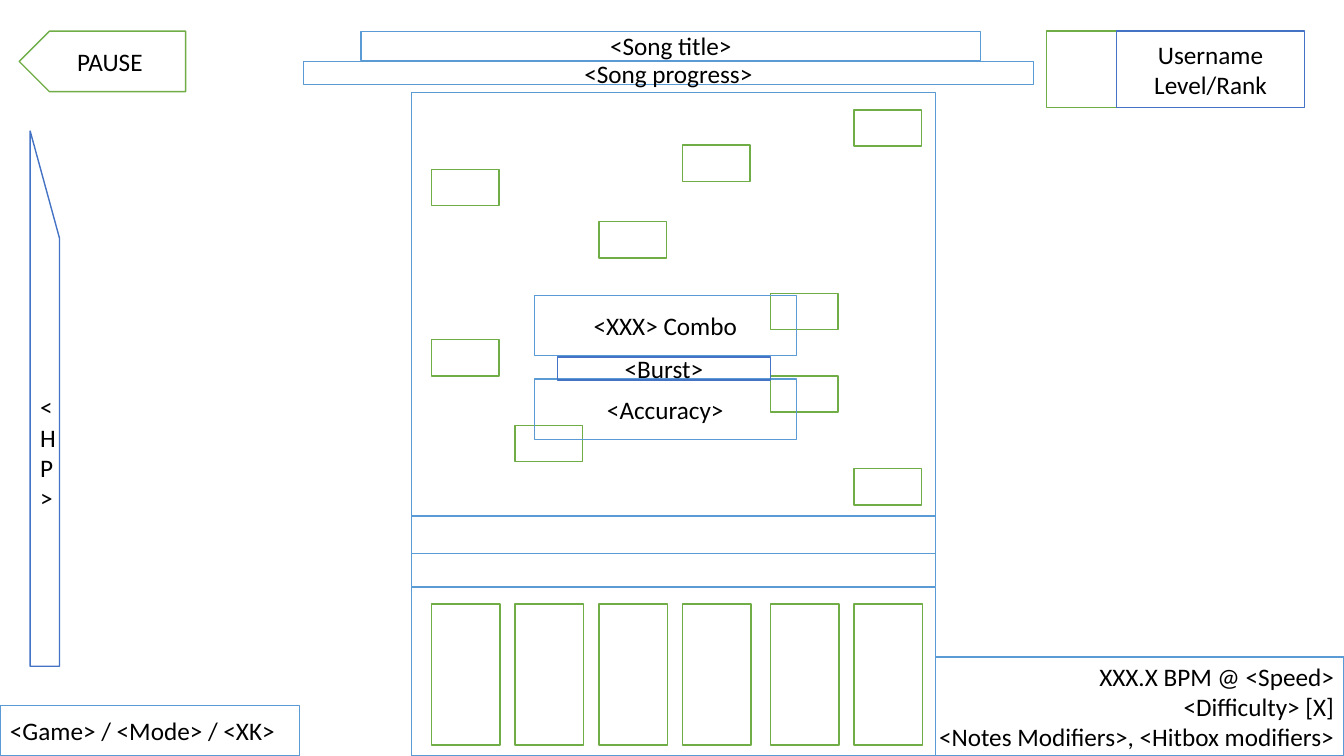
from pptx import Presentation
from pptx.dml.color import RGBColor
from pptx.enum.shapes import MSO_SHAPE
from pptx.enum.text import MSO_ANCHOR, PP_ALIGN
from pptx.util import Inches, Pt

WIDE, HIGH = Inches(13.333), Inches(7.5)
HUES = {"sky": "5B9BD5", "blue": "4472C4", "green": "70AD47",
        "white": "FFFFFF", "black": "000000"}
FONT = {"name": "Calibri", "size": Pt(18)}

# All lengths are percent of the slide's width or height.
TOP = 4.13
FIELD_X, FIELD_W = 30.6, 39
NOTES = [(0, 44.93), (1, 56.27), (2, 29.33), (3, 19.2), (0, 22.4),
         (4, 38.8), (4, 49.73), (5, 14.53), (5, 62)]


def hue(name):
    return RGBColor.from_string(HUES[name])


def lane_x(lane):
    """Left edge of a lane; the last two sit slightly further right."""
    return 32.1 + 6.23 * lane + (0.3 if lane > 3 else 0)


def write(shape, text, align):
    frame = shape.text_frame
    frame.word_wrap = True
    frame.vertical_anchor = MSO_ANCHOR.MIDDLE
    para = frame.paragraphs[0]
    para.text = text
    para.alignment = align
    for run in para.runs:
        for key, value in FONT.items():
            setattr(run.font, key, value)
        run.font.color.rgb = hue("black")


def panel(slide, box, line="sky", text="", align=PP_ALIGN.CENTER,
          kind=MSO_SHAPE.RECTANGLE, clear=False, flip=False):
    """Draw an outlined shape, white inside unless it is clear."""
    x, y, w, h = box
    shape = slide.shapes.add_shape(
        kind, int(WIDE * x / 100), int(HIGH * y / 100),
        int(WIDE * w / 100), int(HIGH * h / 100))
    shape.shadow.inherit = False
    if clear:
        shape.fill.background()
    else:
        shape.fill.solid()
        shape.fill.fore_color.rgb = hue("white")
    shape.line.color.rgb = hue(line)
    shape.line.width = Pt(1)
    if flip:
        shape.element.spPr.xfrm.set("flipH", "1")
    if text:
        write(shape, text, align)


def corners(slide):
    panel(slide, (1.43, TOP, 12.38, 8), "green", "PAUSE",
          kind=MSO_SHAPE.PENTAGON, flip=True)
    panel(slide, (77.85, TOP, 5.25, 10.13), "green")
    panel(slide, (83.1, TOP, 13.95, 10.13), "blue", "Username\vLevel/Rank")
    panel(slide, (0, 93.33, 22.28, 6.67), text="<Game> / <Mode> / <XK>",
          align=PP_ALIGN.LEFT)


def field(slide):
    for y, h in ((77.73, 22.27), (12.27, 65.33), (68.27, 4.93)):
        panel(slide, (FIELD_X, y, FIELD_W, h))
    for lane in range(6):
        panel(slide, (lane_x(lane), 79.87, 5.1, 18.67), "green")
    for lane, y in NOTES:
        panel(slide, (lane_x(lane), y, 5.03, 4.8), "green")


def status(slide):
    for box, line, text in (
            ((26.85, TOP, 46.13, 3.87), "sky", "<Song title>"),
            ((22.58, 8.13, 54.3, 3.07), "sky", "<Song progress>"),
            ((39.75, 39.07, 19.5, 8), "sky", "<XXX> Combo"),
            ((39.75, 50.13, 19.5, 8), "sky", "<Accuracy>"),
            ((41.48, 47.2, 15.83, 3.07), "blue", "<Burst>")):
        panel(slide, box, line, text, clear=True)
    panel(slide, (2.25, 17.33, 2.18, 70.8), "blue", "<HP>",
          kind=MSO_SHAPE.FLOWCHART_MANUAL_INPUT, clear=True, flip=True)


def main():
    deck = Presentation()
    deck.slide_width, deck.slide_height = WIDE, HIGH
    slide = deck.slides.add_slide(deck.slide_layouts[6])
    panel(slide, (53.85, 86.93, 46.15, 13.07),
          text="XXX.X BPM @ <Speed>\v<Difficulty> [X]\v"
               "<Notes Modifiers>, <Hitbox modifiers>",
          align=PP_ALIGN.RIGHT)
    corners(slide)
    field(slide)
    status(slide)
    deck.save("out.pptx")


if __name__ == "__main__":
    main()
